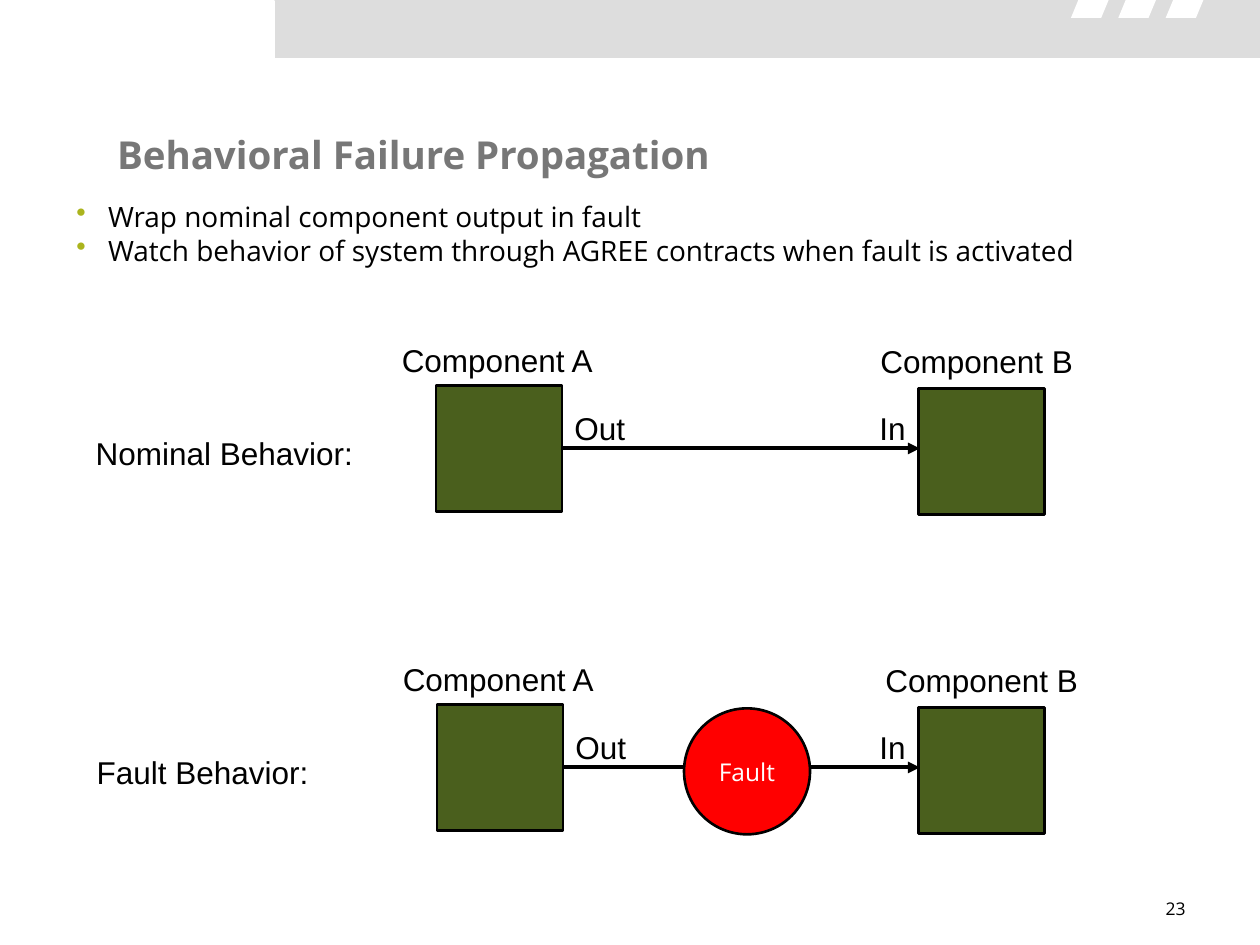
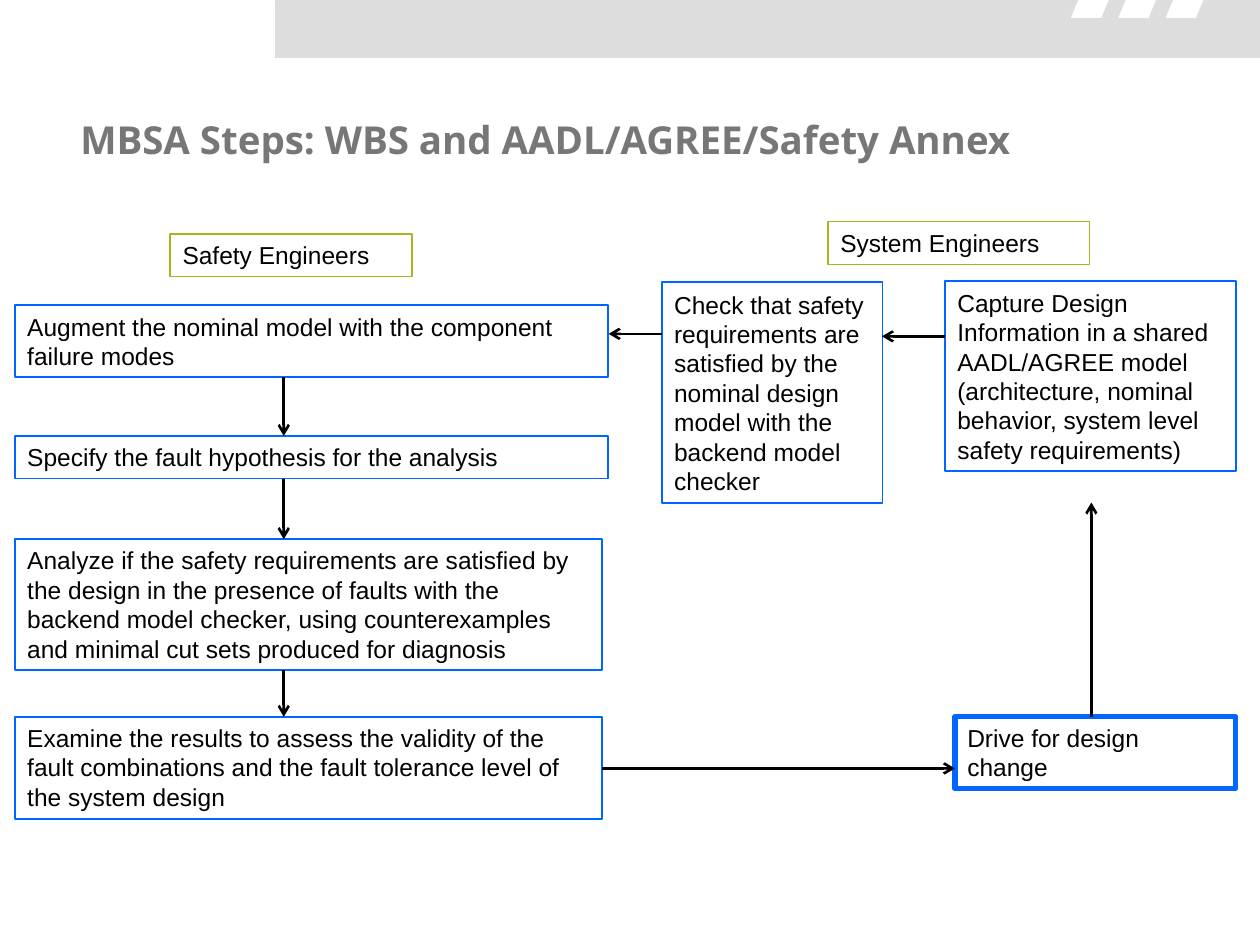
import itertools

import pptx
import pptx.dml.color
import pptx.enum.shapes
import pptx.enum.text
import pptx.oxml
import pptx.oxml.ns
import pptx.util

Cm, Pt = pptx.util.Cm, pptx.util.Pt
SHAPE = pptx.enum.shapes.MSO_SHAPE
ALIGN = pptx.enum.text.PP_ALIGN
ANCHOR = pptx.enum.text.MSO_ANCHOR
FIT = pptx.enum.text.MSO_AUTO_SIZE

COLORS = {"band": "DDDDDD", "white": "FFFFFF", "black": "000000", "title": "777777",
          "lime": "ABB41D", "component": "4A5F1D", "fault": "FF0000", "step": "0066FF"}

# Text formats: font values, then colour name
TITLE = {"name": "Open Sans", "size": Pt(22), "bold": True, "color": "title"}
BODY = {"name": "Open Sans", "size": Pt(16), "color": "black"}
NUMBER = {"name": "Open Sans", "size": Pt(10), "color": "black"}
FAULT = {"name": "Open Sans", "size": Pt(14), "color": "white"}
LABEL = {"name": "Arial", "size": Pt(18), "color": "black"}
STEP = {"name": "Arial", "size": Pt(14), "color": "black"}

# All places are centimetres: left, top, width, height
COVERS = [(0, 0.03, 5.51, 1.22), (1.07, 17.35, 4.47, 1.07)]

BULLETS = ["Wrap nominal component output in fault",
           "Watch behavior of system through AGREE contracts when fault is activated"]

# caption, caption width, left shift, top of component A, left of label B, has fault
BEHAVIORS = [("Nominal Behavior: ", 5.92, 0, 7.77, 17.5, False),
             ("Fault Behavior: ", 5.0, 0.02, 14.2, 17.6, True)]

ROLES = [("Safety Engineers", (3.43, 4.72, 4.88, 0.86)),
         ("System Engineers", (16.69, 4.47, 5.28, 0.86))]

# text, place, centred vertically
SAFETY_STEPS = [
    ("Augment the nominal model with the component failure modes",
     (0.3, 6.15, 11.96, 1.45), True),
    ("Specify the fault hypothesis for the analysis", (0.3, 8.79, 11.96, 0.86), False),
    ("Analyze if the safety requirements are satisfied by the design in the presence of "
     "faults with the backend model checker, using counterexamples and minimal cut sets "
     "produced for diagnosis", (0.3, 10.87, 11.84, 2.64), False),
    ("Examine the results to assess the validity of the fault combinations and the fault "
     "tolerance level of the system design ", (0.3, 14.45, 11.84, 2.06), False)]
SYSTEM_STEPS = [
    ("Capture Design Information in a shared AADL/AGREE model (architecture, nominal "
     "behavior, system level safety requirements)", (19.05, 5.66, 5.87, 3.84), True),
    ("Check that safety requirements are satisfied by the nominal design model with the "
     "backend model checker", (13.34, 5.69, 4.45, 4.45), True)]
CHANGE_STEP = ("Drive for design change", (19.25, 14.45, 5.66, 1.45), False)
CROSS_ARROWS = [(19.05, 6.78, 17.78, 6.78), (13.34, 6.73, 12.27, 6.73),
                (12.14, 15.49, 19.25, 15.49), (22, 14.45, 22, 10.13)]
SAFETY_ARROW_X = 5.72


def rgb(name):
    """Return the named palette colour."""
    return pptx.dml.color.RGBColor.from_string(COLORS[name])


def element(xml):
    """Parse one DrawingML element."""
    return pptx.oxml.parse_xml(xml.replace(" ", f" {pptx.oxml.ns.nsdecls('a')} ", 1))


def paint(sp, fill=None, line=None, width=1.0):
    """Set fill and outline, each absent when no colour is given."""
    sp.shadow.inherit = False
    if fill:
        sp.fill.solid()
        sp.fill.fore_color.rgb = rgb(fill)
    else:
        sp.fill.background()
    if line:
        sp.line.color.rgb = rgb(line)
        sp.line.width = Pt(width)
    else:
        sp.line.fill.background()


def write(sp, lines, style, align=ALIGN.LEFT, **frame):
    """Write one paragraph per line in one style; return the paragraphs."""
    tf = sp.text_frame
    for key, value in {"word_wrap": True, "vertical_anchor": ANCHOR.TOP, **frame}.items():
        setattr(tf, key, value)
    for i, line in enumerate(lines):
        p = tf.add_paragraph() if i else tf.paragraphs[0]
        p.alignment = align
        r = p.add_run()
        r.text = line
        for key, value in style.items():
            if key == "color":
                r.font.color.rgb = rgb(value)
            else:
                setattr(r.font, key, value)
    return tf.paragraphs


def add_text(s, place, lines, style, **options):
    """Add a text box."""
    return write(s.shapes.add_textbox(*map(Cm, place)), lines, style, **options)


def add_shape(s, place, kind=SHAPE.RECTANGLE, **look):
    """Add a painted preset shape."""
    sp = s.shapes.add_shape(kind, *map(Cm, place))
    paint(sp, **look)
    return sp


def add_outline(s, points, fill):
    """Add a closed polygon."""
    points = [(Cm(x), Cm(y)) for x, y in points]
    builder = s.shapes.build_freeform(*points[0])
    builder.add_line_segments(points[1:], close=True)
    paint(builder.convert_to_shape(), fill)


def add_arrow(s, ends, width, head):
    """Add a straight black arrow."""
    c = s.shapes.add_connector(pptx.enum.shapes.MSO_CONNECTOR.STRAIGHT, *map(Cm, ends))
    c.line.color.rgb = rgb("black")
    c.line.width = Pt(width)
    c.line._get_or_add_ln().append(element(f'<a:tailEnd type="{head}"/>'))
    c._element.spPr.append(element("<a:effectLst />"))


def add_slide(prs, title, place):
    """Add a blank slide with the top band and its title."""
    s = prs.slides.add_slide(prs.slide_layouts[6])
    add_outline(s, [(4.88, 1.17), (25.4, 1.17), (25.4, 0), (5.38, 0)], "band")
    for i in range(3):
        x = 21.59 + 0.955 * i
        add_outline(s, [(x, 0.36), (x + 0.15, 0), (x + 0.76, 0), (x + 0.61, 0.36)], "white")
    add_text(s, place, [title], TITLE, vertical_anchor=ANCHOR.MIDDLE)
    return s


def add_covers(s):
    """Add the white blocks that lie over the slide corners."""
    for place in COVERS:
        add_shape(s, place, fill="white", line="white", width=2)


def add_behavior(s, caption, caption_width, dx, top, label_b, has_fault):
    """Draw component A feeding component B, with an optional fault between."""
    for x, y in [(8.79 + dx, top), (18.52, top + 0.06)]:
        add_shape(s, (x, y, 2.54, 2.54), fill="component", line="black", width=1.5)
    add_arrow(s, (11.33 + dx, top + 1.27, 18.54, top + 1.27), 2.25, "triangle")
    labels = [("Component A", 7.85 + dx, -1.02, 4.39), ("Component B", label_b, -0.99, 4.42),
              ("Out", 11.33 + dx, 0.35, 1.55), ("In", 17.48, 0.35, 1.04),
              (caption, 1.68 + dx, 0.86, caption_width)]
    for text, x, dy, width in labels:
        add_text(s, (x, top + dy, width, 1.02), [text], LABEL, word_wrap=False,
                 auto_size=FIT.SHAPE_TO_FIT_TEXT)
    if has_fault:
        sp = add_shape(s, (13.79, top + 0.08, 2.54, 2.54), SHAPE.OVAL,
                       fill="fault", line="black", width=1.5)
        write(sp, ["Fault"], FAULT, align=ALIGN.CENTER, vertical_anchor=ANCHOR.MIDDLE)


def add_step(s, text, place, middle=False, line="step", width=1.0):
    """Add an outlined box holding one step or role."""
    write(add_shape(s, place, line=line, width=width), [text], STEP,
          vertical_anchor=ANCHOR.MIDDLE if middle else ANCHOR.TOP,
          auto_size=FIT.SHAPE_TO_FIT_TEXT)


def build_propagation(prs):
    """Build the slide on failure propagation."""
    s = add_slide(prs, "Behavioral Failure Propagation", (2.11, 2.41, 21.59, 1.4))
    for p in add_text(s, (1.27, 3.89, 22.86, 13.23), BULLETS, BODY):
        p.space_before = Pt(0.5)
        pPr = p._p.get_or_add_pPr()
        pPr.set("marL", str(Cm(0.66)))
        pPr.set("indent", str(Cm(-0.64)))
        pPr.append(element(f'<a:buClr ><a:srgbClr val="{COLORS["lime"]}"/></a:buClr>'))
        pPr.append(element('<a:buChar char="•"/>'))
    add_text(s, (21.79, 17.98, 2.36, 0.69), ["23"], NUMBER, align=ALIGN.RIGHT)
    for behavior in BEHAVIORS:
        add_behavior(s, *behavior)
    add_covers(s)


def build_steps(prs):
    """Build the slide on the analysis steps."""
    s = add_slide(prs, "MBSA Steps: WBS and AADL/AGREE/Safety Annex", (1.37, 2.11, 22.86, 1.4))
    for role in ROLES:
        add_step(s, *role, line="lime", width=0.75)
    for step in SYSTEM_STEPS + SAFETY_STEPS:
        add_step(s, *step)
    add_step(s, *CHANGE_STEP, width=3)
    down = [(SAFETY_ARROW_X, a[1][1] + a[1][3], SAFETY_ARROW_X, b[1][1])
            for a, b in itertools.pairwise(SAFETY_STEPS)]
    for ends in down + CROSS_ARROWS:
        add_arrow(s, ends, 1.5, "arrow")
    add_covers(s)


prs = pptx.Presentation()
prs.slide_width, prs.slide_height = Cm(25.4), Cm(19.05)
build_propagation(prs)
build_steps(prs)
prs.save("out.pptx")
